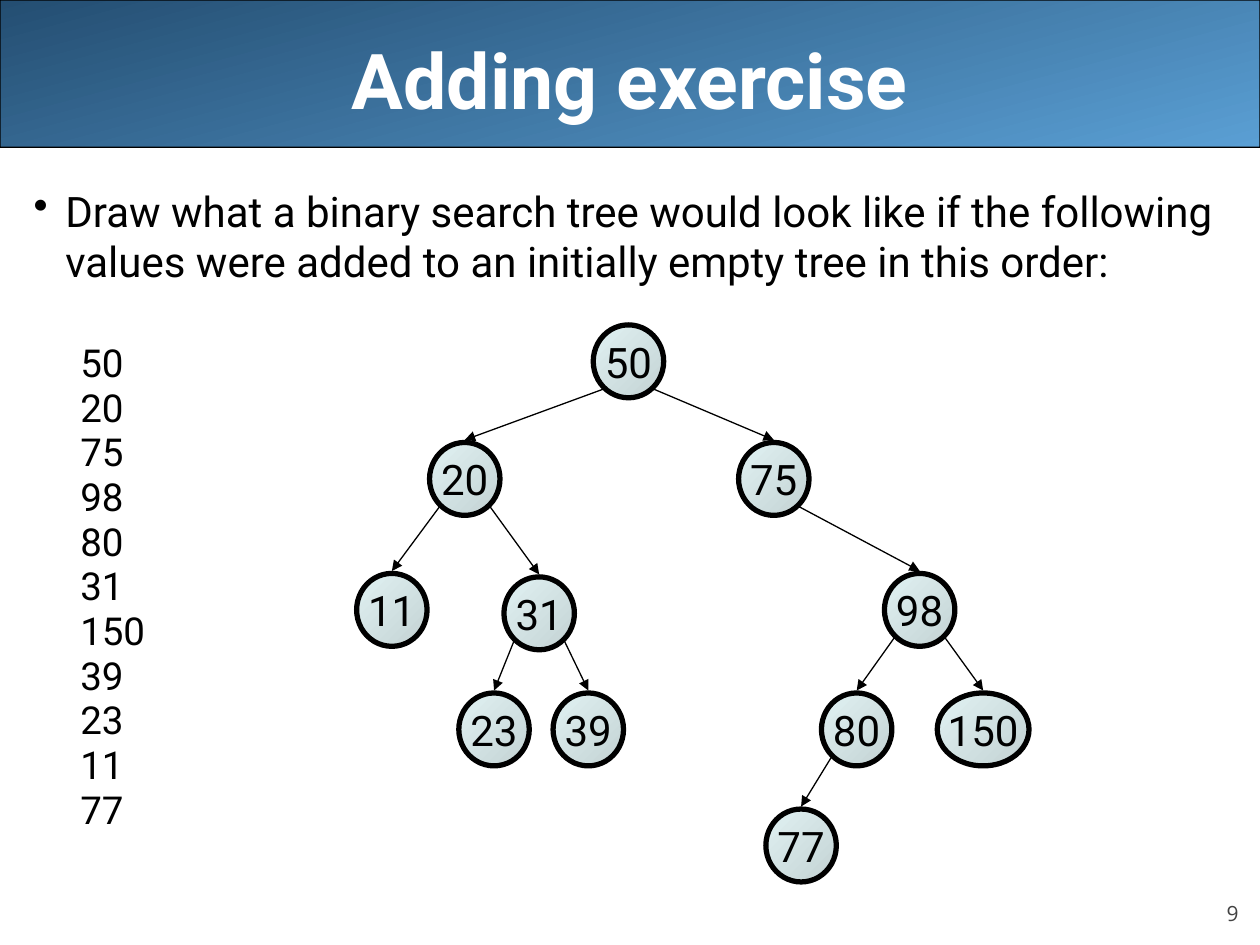
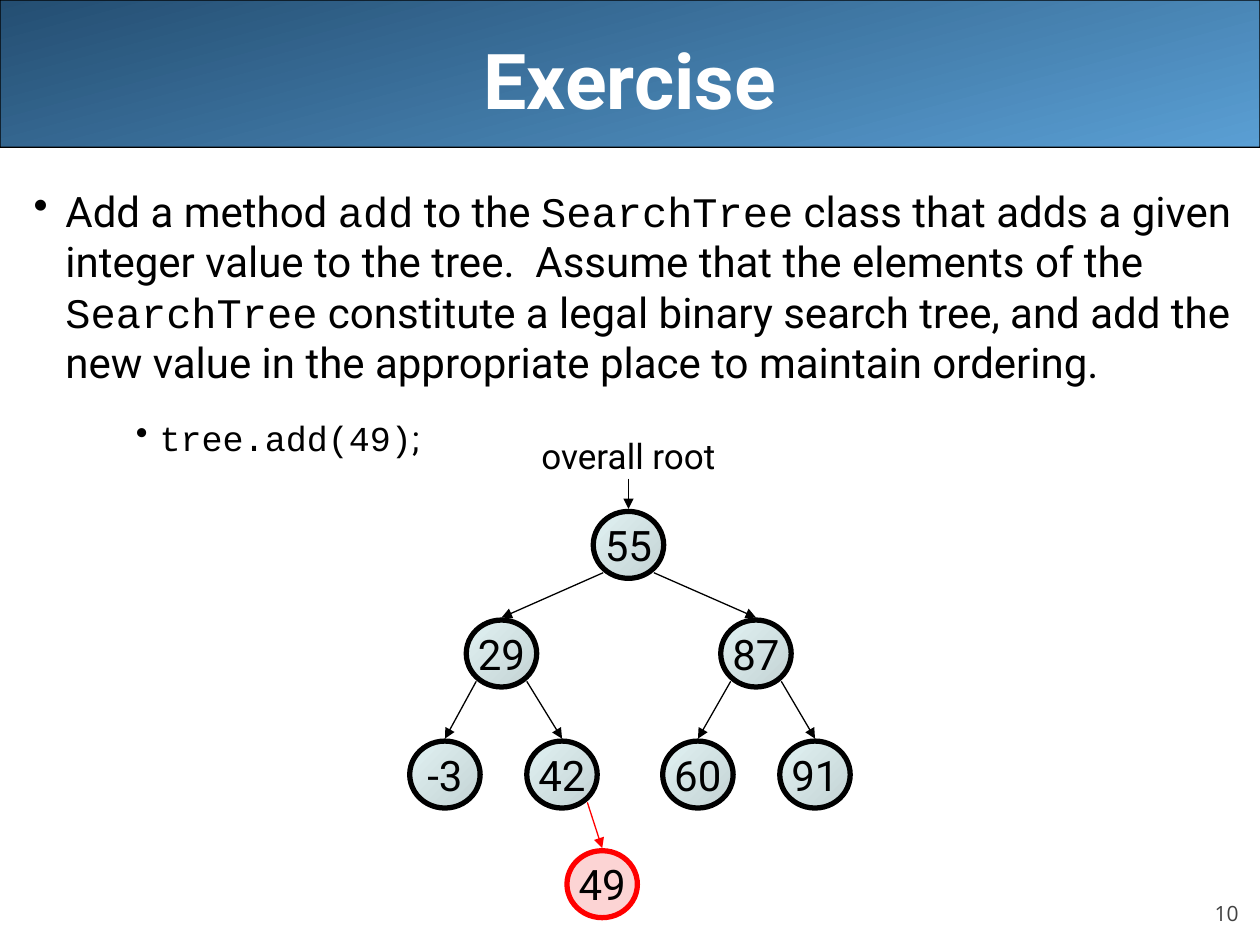
from dataclasses import dataclass
from typing import Any, Optional

from lxml import etree
from pptx import Presentation
from pptx.dml.color import RGBColor
from pptx.enum.shapes import MSO_CONNECTOR, MSO_SHAPE
from pptx.enum.text import MSO_ANCHOR, PP_ALIGN
from pptx.oxml.ns import qn
from pptx.util import Cm, Pt

CENTER, RIGHT = PP_ALIGN.CENTER, PP_ALIGN.RIGHT
MIDDLE, BOTTOM = MSO_ANCHOR.MIDDLE, MSO_ANCHOR.BOTTOM
ELLIPSE, BAND = MSO_SHAPE.OVAL, MSO_SHAPE.ROUNDED_RECTANGLE
STRAIGHT = MSO_CONNECTOR.STRAIGHT

COLORS = {
    "black": "000000",
    "white": "FFFFFF",
    "number": "424242",
    "band_dark": "244E72",
    "band_light": "5A9FD4",
    "node_light": "E1F2F3",
    "node_dark": "C3D2D3",
    "new_fill": "FCD4D4",
    "new_line": "FF0000",
}
SANS, CODE, NUMBER_FONT = "Roboto", "Courier New", "Open Sans"

NODE_WIDTH = 1.42
EDGE_OFFSET_X, EDGE_OFFSET_Y, EDGE_GAP = 0.51, 0.56, 0.05


@dataclass
class Span:
    text: str
    font: str = SANS


@dataclass
class Para:
    spans: list[Span]
    size: float
    margin: float
    indent: float
    level: int = 0
    bullet: bool = True
    space_before: float = 0
    line_spacing: float = 1.0


@dataclass
class Node:
    value: int
    center: float
    top: float
    parent: Optional[int] = None
    width: float = NODE_WIDTH
    new: bool = False


def rgb(name: str) -> RGBColor:
    return RGBColor.from_string(COLORS[name])


def apply(target: Any, values: dict[str, Any]) -> None:
    for name, value in values.items():
        setattr(target, name, value)


def add_span(para: Any, text: str, size: float, font: str = SANS,
             color: str = "black", bold: bool = False) -> None:
    span = para.add_run()
    span.text = text
    apply(span.font, {"size": Pt(size), "name": font, "bold": bold})
    span.font.color.rgb = rgb(color)


def set_gradient(shape: Any, start: str, end: str, clockwise: float) -> None:
    shape.fill.gradient()
    shape.fill.gradient_angle = 360 - clockwise
    for stop, color, position in zip(shape.fill.gradient_stops, (start, end), (0, 1)):
        stop.color.rgb = rgb(color)
        stop.position = position


def set_line(shape: Any, color: str, width: float) -> None:
    shape.line.color.rgb = rgb(color)
    shape.line.width = Pt(width)


def add_arrow(page: Any, start: tuple[float, float], end: tuple[float, float],
              color: str = "black") -> None:
    arrow = page.shapes.add_connector(STRAIGHT, *map(Cm, start + end))
    set_line(arrow, color, 0.75)
    properties = arrow._element.spPr
    etree.SubElement(properties.find(qn("a:ln")), qn("a:tailEnd"), type="triangle")
    etree.SubElement(properties, qn("a:effectLst"))


def add_page(deck: Any, title: str, number: int) -> Any:
    page = deck.slides.add_slide(deck.slide_layouts[5])
    heading = page.shapes.title
    apply(heading, {"left": Cm(1.27), "top": Cm(0), "width": Cm(22.86), "height": Cm(3.18)})
    heading.text_frame.vertical_anchor = MIDDLE
    para = heading.text_frame.paragraphs[0]
    para.alignment = CENTER
    add_span(para, title, 44, color="white", bold=True)

    band = page.shapes.add_shape(BAND, 0, 0, deck.slide_width, Cm(2.97))
    band.adjustments[0] = 0.001
    band.shadow.inherit = False
    set_gradient(band, "band_dark", "band_light", 75)
    set_line(band, "black", 0.74)
    heading._element.addprevious(band._element)

    box = page.shapes.add_textbox(Cm(22.86), Cm(17.65), Cm(2.11), Cm(1.02))
    apply(box.text_frame, {"margin_left": 0, "margin_right": 0, "margin_top": 0,
                           "margin_bottom": 0, "vertical_anchor": BOTTOM,
                           "word_wrap": True})
    para = box.text_frame.paragraphs[0]
    para.alignment = RIGHT
    add_span(para, str(number), 12, NUMBER_FONT, "number")
    return page


def add_body(page: Any, paras: list[Para]) -> None:
    box = page.shapes.add_textbox(Cm(0.43), Cm(3.61), Cm(24.97), Cm(14.4))
    frame = box.text_frame
    frame.word_wrap = True
    for index, item in enumerate(paras):
        para = frame.add_paragraph() if index else frame.paragraphs[0]
        apply(para, {"level": item.level, "line_spacing": item.line_spacing,
                     "space_before": Pt(item.space_before or item.size * 0.2)})
        properties = para._p.get_or_add_pPr()
        properties.set("marL", str(Cm(item.margin)))
        properties.set("indent", str(Cm(item.indent)))
        if item.bullet:
            etree.SubElement(properties, qn("a:buChar"), char="•")
        else:
            etree.SubElement(properties, qn("a:buNone"))
        for span in item.spans:
            add_span(para, span.text, item.size, span.font)


def add_node(page: Any, node: Node, height: float) -> None:
    shape = page.shapes.add_shape(ELLIPSE, Cm(node.center - node.width / 2),
                                  Cm(node.top), Cm(node.width), Cm(height))
    shape.shadow.inherit = False
    if node.new:
        shape.fill.solid()
        shape.fill.fore_color.rgb = rgb("new_fill")
    else:
        set_gradient(shape, "node_light", "node_dark", 45)
    set_line(shape, "new_line" if node.new else "black", 3)
    apply(shape.text_frame, {"vertical_anchor": MIDDLE, "word_wrap": False})
    para = shape.text_frame.paragraphs[0]
    para.alignment = CENTER
    add_span(para, str(node.value), 24)


def add_tree(page: Any, nodes: list[Node], height: float) -> None:
    by_value = {node.value: node for node in nodes}
    for node in nodes:
        add_node(page, node, height)
        if node.parent is None:
            continue
        parent = by_value[node.parent]
        side = 1 if node.value > parent.value else -1
        start = (parent.center + side * EDGE_OFFSET_X,
                 parent.top + height / 2 + EDGE_OFFSET_Y)
        add_arrow(page, start, (node.center, node.top - EDGE_GAP),
                  "new_line" if node.new else "black")


def add_root_label(page: Any, root: Node) -> None:
    box = page.shapes.add_textbox(Cm(root.center - 2.03), Cm(8.64), Cm(4.06), Cm(1.09))
    box.text_frame.word_wrap = False
    para = box.text_frame.paragraphs[0]
    para.alignment = CENTER
    add_span(para, "overall root", 20)
    add_arrow(page, (root.center, 9.65), (root.center, root.top - EDGE_GAP))


INSERTED = [50, 20, 75, 98, 80, 31, 150, 39, 23, 11, 77]
ADDING_TREE = [
    Node(50, 12.67, 6.55),
    Node(20, 9.37, 8.92, 50),
    Node(75, 15.6, 8.92, 50),
    Node(11, 7.9, 11.56, 20),
    Node(31, 10.87, 11.63, 20),
    Node(98, 18.54, 11.56, 75),
    Node(23, 9.96, 13.97, 31),
    Node(39, 11.86, 13.97, 31),
    Node(80, 17.27, 13.97, 98),
    Node(150, 19.82, 13.97, 98, width=1.85),
    Node(77, 16.15, 16.31, 80),
]
METHOD_TREE = [
    Node(55, 12.67, 10.31),
    Node(29, 10.11, 12.5, 55),
    Node(87, 15.24, 12.5, 55),
    Node(-3, 8.97, 14.94, 29),
    Node(42, 11.33, 14.94, 29),
    Node(60, 14.07, 14.94, 87),
    Node(91, 16.43, 14.94, 87),
    Node(49, 12.14, 17.15, 42, new=True),
]


def main_point(*spans: Span) -> Para:
    return Para(list(spans), 24, 0.64, -0.64)


def build_adding(deck: Any) -> None:
    page = add_page(deck, "Adding exercise", 9)
    values = [Para([Span(str(value))], 22, 1.73, -0.79, level=1, bullet=False,
                   space_before=0 if index else 35.4, line_spacing=0.8)
              for index, value in enumerate(INSERTED)]
    add_body(page, [main_point(Span(
        "Draw what a binary search tree would look like if the following values "
        "were added to an initially empty tree in this order:")), *values])
    add_tree(page, ADDING_TREE, 1.47)


def build_method(deck: Any) -> None:
    page = add_page(deck, "Exercise", 10)
    add_body(page, [
        main_point(
            Span("Add a method "), Span("add", CODE), Span(" to the "),
            Span("SearchTree", CODE),
            Span(" class that adds a given integer value to the tree.  "
                 "Assume that the elements of the "),
            Span("SearchTree", CODE),
            Span(" constitute a legal binary search tree, and add the new value "
                 "in the appropriate place to maintain ordering.")),
        Para([Span("tree.add(49)", CODE), Span(";")], 20, 2.54, -0.48,
             level=2, space_before=16.7),
    ])
    add_tree(page, METHOD_TREE, 1.35)
    add_root_label(page, METHOD_TREE[0])


deck = Presentation()
apply(deck, {"slide_width": Cm(25.4), "slide_height": Cm(19.05)})
build_adding(deck)
build_method(deck)
deck.save("out.pptx")
